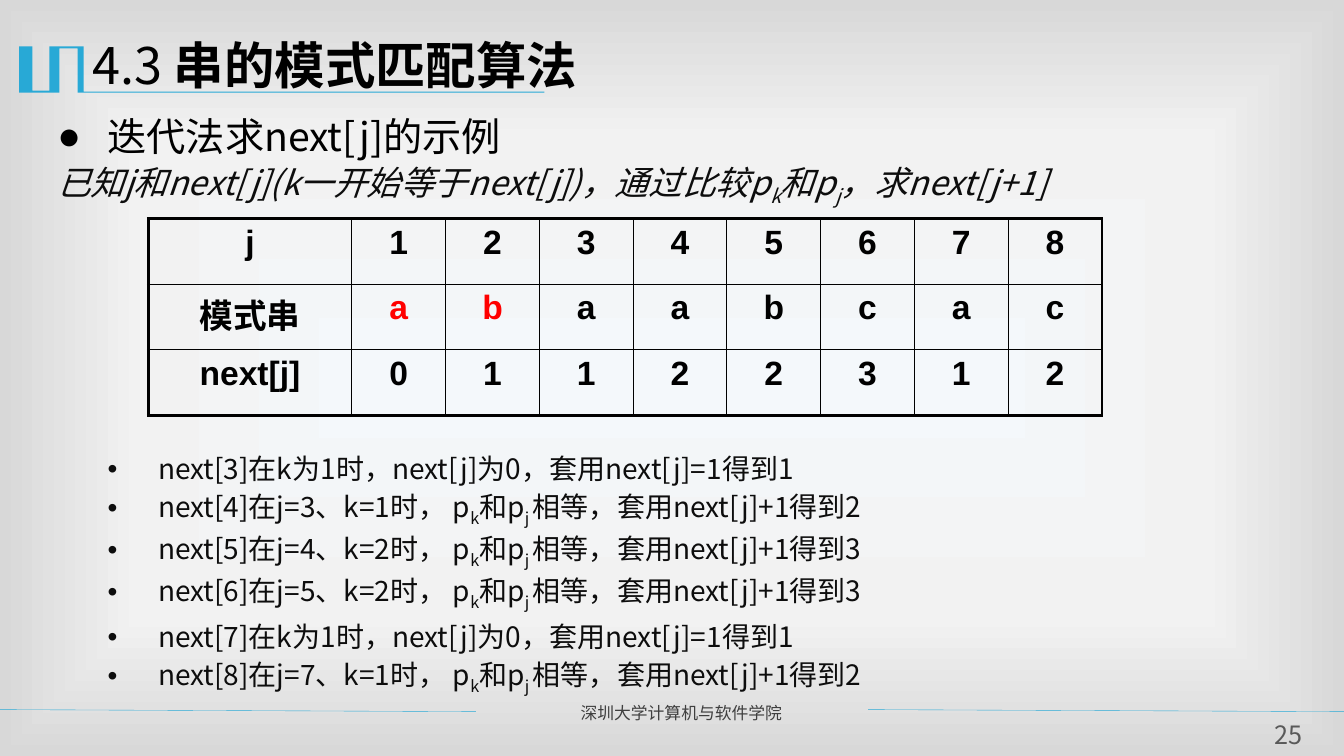
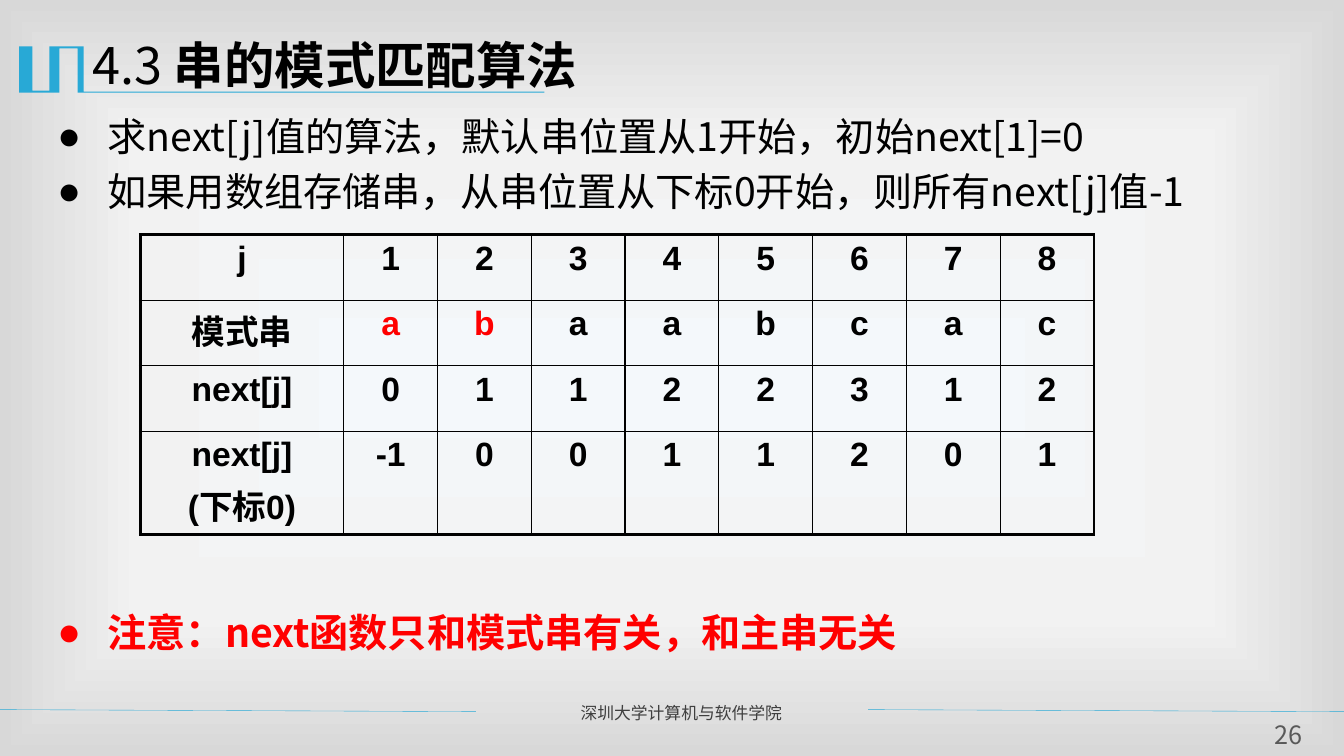
from dataclasses import dataclass

from lxml import etree
from pptx import Presentation
from pptx.dml.color import RGBColor
from pptx.enum.shapes import MSO_CONNECTOR
from pptx.enum.text import PP_ALIGN
from pptx.oxml import parse_xml
from pptx.oxml.ns import nsdecls, qn
from pptx.util import Inches, Pt

STRAIGHT = MSO_CONNECTOR.STRAIGHT
LEFT, CENTER = PP_ALIGN.LEFT, PP_ALIGN.CENTER

ACCENT = RGBColor(0x28, 0xA9, 0xD6)
BLACK = RGBColor(0, 0, 0)
INK = RGBColor(0x0D, 0x0D, 0x0D)
RED = RGBColor(0xFF, 0, 0)
FOOTER_GRAY = RGBColor(0x3F, 0x3F, 0x3F)
NUMBER_GRAY = RGBColor(0x59, 0x59, 0x59)
BACKDROP_STOPS = [(0, "F4F8FB"), (63, "F2F2F2"), (100, "D8D8D8")]

BODY_FONT, TABLE_FONT = "Noto Sans CJK SC", "Arial"
SLIDE_W, SLIDE_H = 13.33, 7.5
OUTER_RULE, INNER_RULE = 2.25, 1

# Outline of the emblem that runs into the title rule, in inches
EMBLEM = [(0.83, 0.46), (0.83, 0.91), (5.4, 0.91), (5.4, 0.92), (0.77, 0.92),
          (0.77, 0.48), (0.59, 0.48), (0.59, 0.92), (0.19, 0.92), (0.19, 0.46),
          (0.32, 0.46), (0.32, 0.9), (0.49, 0.9), (0.49, 0.46)]


@dataclass
class Line:
    """A paragraph; text between tildes is set as subscript."""
    text: str
    size: float
    pitch: float
    color: RGBColor = BLACK
    bold: bool = False
    italic: bool = False
    bullet: str = ""
    indent: float = 0
    align: PP_ALIGN = LEFT


def style_font(paragraph, name, size, color, bold=False, italic=False):
    font = paragraph.font
    font.name, font.size, font.bold, font.italic = name, Pt(size), bold, italic
    font.color.rgb = color
    defaults = paragraph._p.pPr.find(qn("a:defRPr"))
    etree.SubElement(defaults, qn("a:ea")).set("typeface", BODY_FONT)


def add_bullet(paragraph, char, indent):
    properties = paragraph._p.get_or_add_pPr()
    properties.set("marL", str(Inches(indent)))
    properties.set("indent", str(-Inches(0.5)))
    defaults = properties.find(qn("a:defRPr"))
    for tag, key, value in (("a:buFont", "typeface", TABLE_FONT),
                            ("a:buChar", "char", char)):
        mark = etree.Element(qn(tag))
        mark.set(key, value)
        defaults.addprevious(mark)


def add_lines(slide, box, lines, side_inset=0.1):
    frame = slide.shapes.add_textbox(*map(Inches, box)).text_frame
    frame.word_wrap = True
    frame.margin_left = frame.margin_right = Inches(side_inset)
    frame.margin_top = frame.margin_bottom = 0
    for i, line in enumerate(lines):
        paragraph = frame.add_paragraph() if i else frame.paragraphs[0]
        paragraph.alignment = line.align
        paragraph.line_spacing = Pt(line.pitch)
        style_font(paragraph, BODY_FONT, line.size, line.color,
                   line.bold, line.italic)
        if line.bullet:
            add_bullet(paragraph, line.bullet, line.indent)
        for part, text in enumerate(line.text.split("~")):
            run = paragraph.add_run()
            run.text = text
            if part % 2:
                run._r.get_or_add_rPr().set("baseline", "-25000")
    return frame


def set_backdrop(master):
    fill = master.background.fill
    fill.gradient()
    stops = "".join(
        f'<a:gs pos="{pos * 1000}"><a:srgbClr val="{color}"/></a:gs>'
        for pos, color in BACKDROP_STOPS)
    gradient = parse_xml(
        f'<a:gradFill {nsdecls("a")} rotWithShape="1"><a:gsLst>{stops}</a:gsLst>'
        '<a:path path="rect"><a:fillToRect l="50000" t="50000" r="50000" '
        'b="50000"/></a:path></a:gradFill>')
    plain = next(master.element.cSld.iter(qn("a:gradFill")))
    plain.getparent().replace(plain, gradient)


def add_heading(slide):
    points = [(Inches(x), Inches(y)) for x, y in EMBLEM]
    builder = slide.shapes.build_freeform(*points[0])
    builder.add_line_segments(points[1:], close=True)
    emblem = builder.convert_to_shape()
    emblem.shadow.inherit = False
    emblem.fill.solid()
    emblem.fill.fore_color.rgb = ACCENT
    emblem.line.fill.background()

    title = add_lines(slide, (0.82, 0.31, 12, 0.7), [Line("4.3 ", 36, 45)])
    topic = title.paragraphs[0].add_run()
    topic.text = "串的模式匹配算法"
    topic.font.bold = True


def add_footer(slide, number):
    for start, end in ((0, 4.72), (8.61, SLIDE_W)):
        rule = slide.shapes.add_connector(
            STRAIGHT, Inches(start), Inches(7.04), Inches(end), Inches(7.06))
        rule.line.color.rgb = ACCENT
        rule.line.width = Pt(0.25)
        etree.SubElement(rule._element.spPr, qn("a:effectLst"))
    add_lines(slide, (5.66, 6.94, 2.85, 0.3),
              [Line("深圳大学计算机与软件学院", 12, 17, FOOTER_GRAY)])
    add_lines(slide, (12.48, 7.08, 0.59, 0.36),
              [Line(str(number), 18, 26, NUMBER_GRAY, align=CENTER)], 0)


def set_borders(cell, widths):
    properties = cell._tc.get_or_add_tcPr()
    for position, (side, width) in enumerate(zip("LRTB", widths)):
        properties.insert(position, parse_xml(
            f'<a:ln{side} {nsdecls("a")} w="{Pt(width)}"><a:solidFill>'
            f'<a:srgbClr val="{BLACK}"/></a:solidFill></a:ln{side}>'))


def add_next_table(slide, left, top, rows, heights):
    last_row, last_col = len(rows) - 1, len(rows[0]) - 1
    widths = [2.02] + [0.93] * last_col
    table = slide.shapes.add_table(
        len(rows), len(widths), Inches(left), Inches(top),
        Inches(sum(widths)), Inches(sum(heights))).table
    table.first_row = table.horz_banding = False
    for column, width in zip(table.columns, widths):
        column.width = Inches(width)
    for r, (values, height) in enumerate(zip(rows, heights)):
        table.rows[r].height = Inches(height)
        for c, value in enumerate(values):
            cell = table.cell(r, c)
            cell.text = value
            cell.fill.background()
            # The first two letters of the pattern are highlighted
            color = RED if r == 1 and c in (1, 2) else BLACK
            for i, paragraph in enumerate(cell.text_frame.paragraphs):
                paragraph.alignment = CENTER
                paragraph.space_before = Pt(4.8 if i else 0)
                style_font(paragraph, TABLE_FONT, 24, color, bold=True)
            edges = (c == 0, c == last_col, r == 0, r == last_row)
            set_borders(cell, [OUTER_RULE if edge else INNER_RULE
                               for edge in edges])


def main_point(text, **style):
    return Line(text, 28, 39, bullet="●", indent=0.5, **style)


def reset_step(j):
    return f"next[{j}]在k为1时，next[j]为0，套用next[j]=1得到1"


def match_step(j, k):
    return (f"next[{j}]在j={j - 1}、k={k}时， p~k~和p~j ~相等，"
            f"套用next[j]+1得到{k + 1}")


TABLE_ROWS = [["j", *"12345678"],
              ["模式串", *"abaabcac"],
              ["next[j]", *"01122312"]]
ZERO_BASED_ROW = ["next[j]\n(下标0)", "-1", *"0011201"]


def fill_example(slide):
    add_lines(slide, (0.47, 1.04, 12.13, 1.05), [
        main_point("迭代法求next[j]的示例"),
        Line("已知j和next[j](k一开始等于next[j])，通过比较p~k~和p~j~，求next[j+1]",
             24, 34.4, INK, italic=True)])
    add_next_table(slide, 1.47, 2.17, TABLE_ROWS, [0.65] * 3)
    steps = [reset_step(3), match_step(4, 1), match_step(5, 2),
             match_step(6, 2), reset_step(7), match_step(8, 1)]
    add_lines(slide, (0.47, 4.4, 12.13, 2.5), [
        Line(step, 20, 30, INK, bullet="•", indent=1) for step in steps])


def fill_zero_based(slide):
    add_lines(slide, (0.47, 1.04, 12.13, 1.1), [
        main_point("求next[j]值的算法，默认串位置从1开始，初始next[1]=0"),
        main_point("如果用数组存储串，从串位置从下标0开始，则所有next[j]值-1")])
    add_next_table(slide, 1.39, 2.33, TABLE_ROWS + [ZERO_BASED_ROW],
                   [0.65] * 3 + [1.02])
    add_lines(slide, (0.47, 5.96, 12.13, 0.55), [
        main_point("注意：next函数只和模式串有关，和主串无关",
                   color=RED, bold=True)])


def main():
    deck = Presentation()
    deck.slide_width, deck.slide_height = Inches(SLIDE_W), Inches(SLIDE_H)
    set_backdrop(deck.slide_master)
    for number, fill_body in enumerate((fill_example, fill_zero_based), 25):
        slide = deck.slides.add_slide(deck.slide_layouts[6])
        add_heading(slide)
        add_footer(slide, number)
        fill_body(slide)
    deck.save("out.pptx")


if __name__ == "__main__":
    main()
